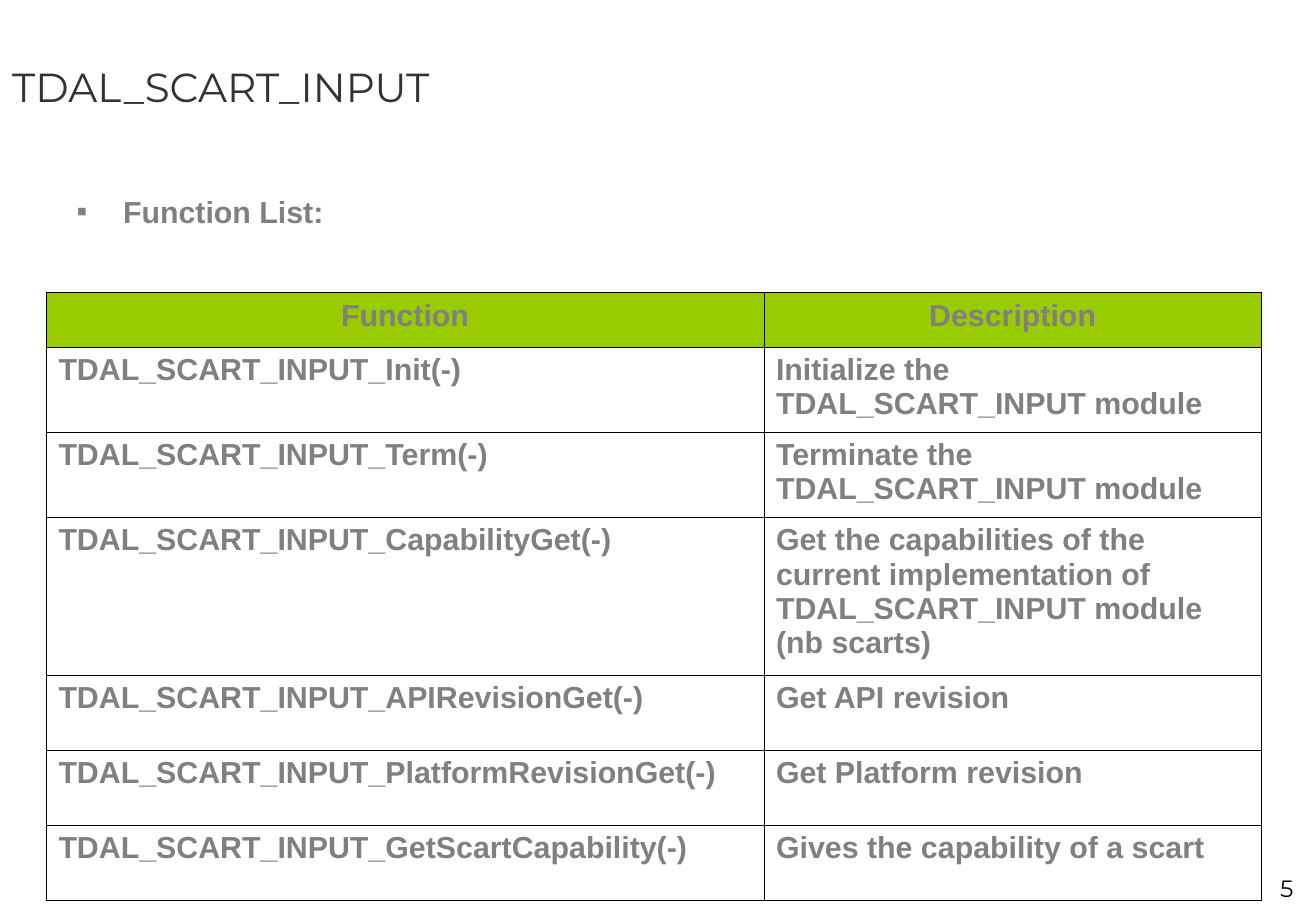
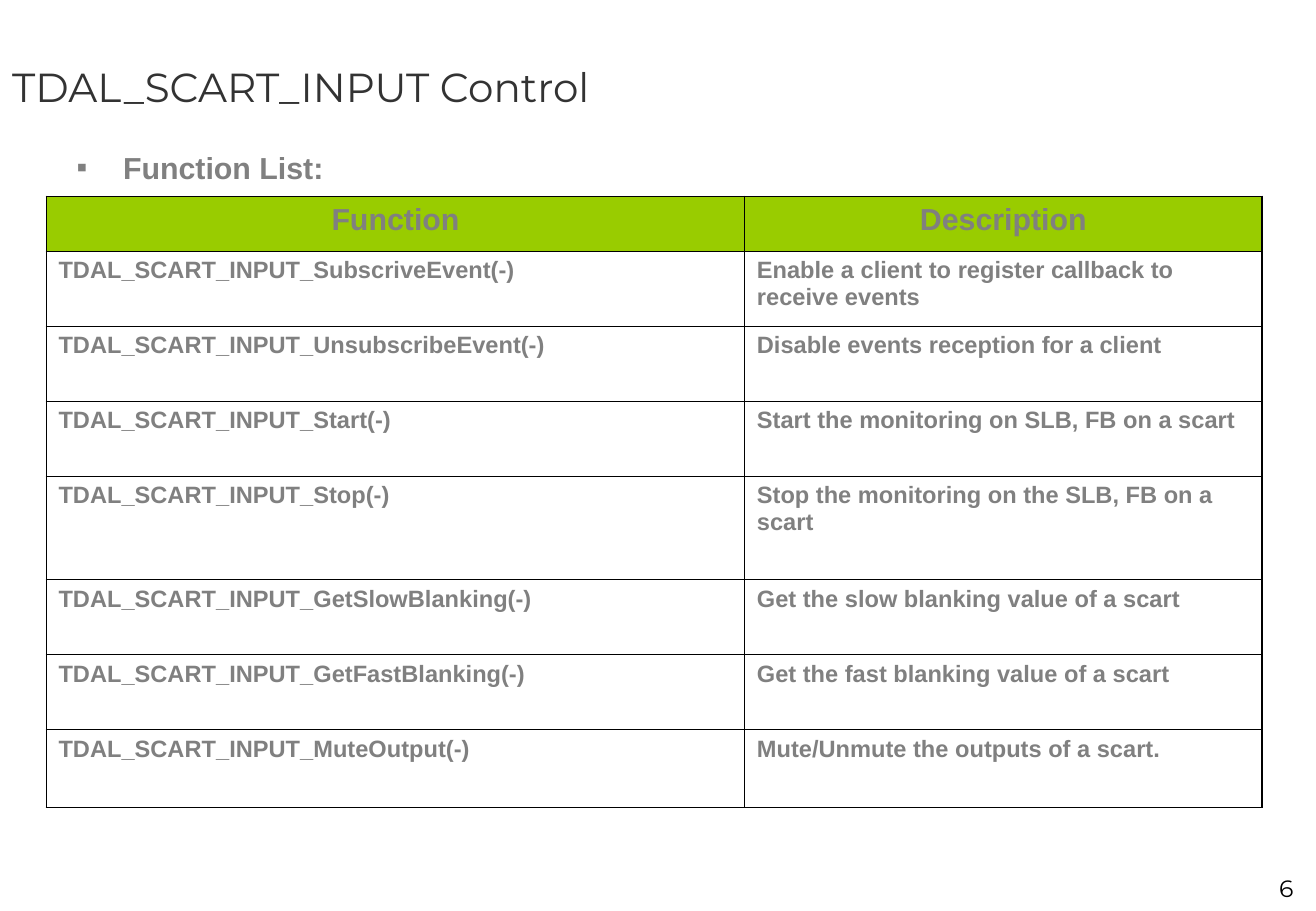
from lxml.etree import SubElement
from pptx import Presentation
from pptx.dml.color import RGBColor as Rgb
from pptx.enum.text import MSO_ANCHOR as Anchor, PP_ALIGN as Align
from pptx.oxml.ns import qn
from pptx.util import Cm, Pt

HUES = {"title": "333333", "text": "808080", "head": "99CC00", "line": "000000"}
FONTS = {"title": "Montserrat", "text": "Arial"}
THICK, THIN = 1.08, 0.45
LEFT = 0.97
FIRST = 5
LIST = "Function List:"
HEADS = ("Function", "Description")
PREFIX = "TDAL_SCART_INPUT"

SLIDES = [
    {
        "title": PREFIX, "list": 3.91, "top": 6.12, "cols": (15.01, 10.41),
        "size": 18, "gap": 4.5,
        "rows": [
            ("Init", "Initialize the TDAL_SCART_INPUT module", 1.78),
            ("Term", "Terminate the TDAL_SCART_INPUT module", 1.78),
            ("CapabilityGet", "Get the capabilities of the current implementation of "
             "TDAL_SCART_INPUT module (nb scarts)", 3.3),
            ("APIRevisionGet", "Get API revision", 1.57),
            ("PlatformRevisionGet", "Get Platform revision", 1.57),
            ("GetScartCapability", "Gives the capability of a scart", 1.57),
        ],
    },
    {
        "title": PREFIX + " Control", "list": 2.99, "top": 4.11, "cols": (14.61, 10.82),
        "size": 14, "gap": 3.5,
        "rows": [
            ("SubscriveEvent", "Enable a client to register callback to receive events", 1.57),
            ("UnsubscribeEvent", "Disable events reception for a client", 1.57),
            ("Start", "Start the monitoring on SLB, FB on a scart", 1.57),
            ("Stop", "Stop the monitoring on the SLB, FB on a scart", 2.16),
            ("GetSlowBlanking", "Get the slow blanking value of a scart", 1.57),
            ("GetFastBlanking", "Get the fast blanking value of a scart", 1.57),
            ("MuteOutput", "Mute/Unmute the outputs of a scart.", 1.63),
        ],
    },
]


def write(frame, text, size=18, font="text", hue="text", bold=False,
          align=Align.LEFT, gap=0):
    frame.word_wrap = True
    para = frame.paragraphs[0]
    para.alignment = align
    para.space_before = Pt(gap)
    run = para.add_run()
    run.text = text
    run.font.size = Pt(size)
    run.font.name = FONTS[font]
    run.font.bold = bold
    run.font.color.rgb = Rgb.from_string(HUES[hue])
    return para


def place(shape, left, top, width, height):
    shape.left, shape.top = Cm(left), Cm(top)
    shape.width, shape.height = Cm(width), Cm(height)


def bullet(para, sign):
    props = para._p.get_or_add_pPr()
    props.set("marL", str(Cm(0.97)))
    props.set("indent", str(-Cm(0.97)))
    tint = SubElement(props, qn("a:buClr"))
    SubElement(tint, qn("a:srgbClr"), val=HUES["text"])
    SubElement(props, qn("a:buFont"), typeface=FONTS["text"])
    SubElement(props, qn("a:buChar"), char=sign)


def border(cell, sides):
    props = cell._tc.get_or_add_tcPr()
    for side, outer in sides.items():
        width = Pt(THICK if outer else THIN)
        line = SubElement(props, qn("a:ln" + side), w=str(width))
        fill = SubElement(line, qn("a:solidFill"))
        SubElement(fill, qn("a:srgbClr"), val=HUES["line"])


def add_grid(slide, data):
    rows = [(*HEADS, 1.14)]
    rows += [(f"{PREFIX}_{name}(-)", note, high) for name, note, high in data["rows"]]
    cols = data["cols"]
    last = len(rows) - 1
    table = slide.shapes.add_table(
        len(rows), len(cols), Cm(LEFT), Cm(data["top"]),
        Cm(sum(cols)), Cm(sum(row[2] for row in rows))).table
    table.first_row = table.horz_banding = False
    for col, width in zip(table.columns, cols):
        col.width = Cm(width)
    for r, row in enumerate(rows):
        table.rows[r].height = Cm(row[2])
        for c, text in enumerate(row[:2]):
            cell = table.cell(r, c)
            border(cell, {"L": c == 0, "R": c == 1, "T": r == 0, "B": r == last})
            if r == 0:
                cell.fill.solid()
                cell.fill.fore_color.rgb = Rgb.from_string(HUES["head"])
                write(cell.text_frame, text, bold=True, align=Align.CENTER, gap=4.5)
            else:
                cell.fill.background()
                write(cell.text_frame, text, size=data["size"], bold=True, gap=data["gap"])


def add_slide(deck, data, number):
    slide = deck.slides.add_slide(deck.slide_layouts[1])
    title, body = slide.placeholders
    place(title, 0, 0, 27.51, 3.61)
    title.text_frame.vertical_anchor = Anchor.MIDDLE
    write(title.text_frame, data["title"], size=24, font="title", hue="title")
    place(body, 1.35, data["list"], 25.17, 1.1)
    bullet(write(body.text_frame, LIST, bold=True), "▪")
    add_grid(slide, data)
    page = slide.shapes.add_textbox(Cm(24.36), Cm(18.14), Cm(2.95), Cm(0.84))
    write(page.text_frame, str(number), size=14, font="title", hue="line",
          align=Align.RIGHT)


def main():
    deck = Presentation()
    deck.slide_width, deck.slide_height = Cm(27.53), Cm(19.05)
    for number, data in enumerate(SLIDES, FIRST):
        add_slide(deck, data, number)
    deck.save("out.pptx")


if __name__ == "__main__":
    main()
